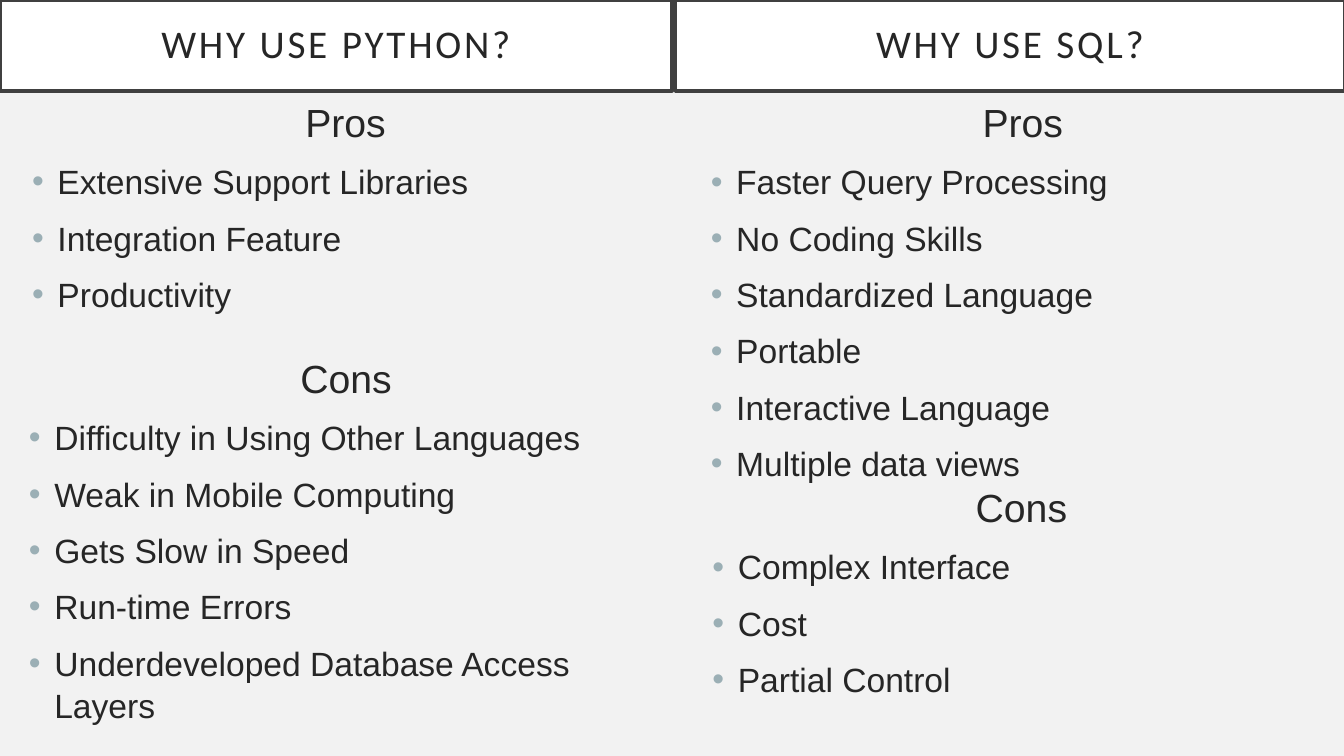
"""Build a slide comparing the pros and cons of Python and SQL."""
from lxml.etree import SubElement
from pptx import Presentation
from pptx.dml.color import RGBColor
from pptx.enum.shapes import MSO_SHAPE as Shape
from pptx.enum.text import MSO_ANCHOR as Anchor, MSO_AUTO_SIZE as AutoSize, PP_ALIGN as Align
from pptx.oxml.ns import qn
from pptx.util import Cm, Pt

HEADINGS = [
    ("WHY USE SQL?", (17.02, 0, 16.87, 2.29)),
    ("WHY USE PYTHON?", (0, 0, 16.94, 2.29)),
]
LISTS = [
    ("Pros", ["Faster Query Processing", "No Coding Skills", "Standardized Language",
              "Portable", "Interactive Language", "Multiple data views"],
     (17.02, 2.29, 16.87, 9.7), 0.64),
    ("Cons", ["Complex Interface", "Cost", "Partial Control"],
     (17.7, 11.99, 16.08, 7.06), 0),
    ("Pros", ["Extensive Support Libraries", "Integration Feature", "Productivity"],
     (-0.08, 2.29, 16.94, 6.83), 0.64),
    ("Cons", ["Difficulty in Using Other Languages", "Weak in Mobile Computing",
              "Gets Slow in Speed", "Run-time Errors",
              "Underdeveloped Database Access Layers"],
     (0.48, 8.74, 16.48, 10.34), 0),
]
HANGING = 0.64
TEXT, BULLET, BORDER = "262626", "9BAFB5", "404040"


def color(value):
    return RGBColor.from_string(value)


def place(shape, box):
    shape.left, shape.top, shape.width, shape.height = (Cm(length) for length in box)


def set_font(paragraph, name, size):
    font = paragraph.font
    font.name, font.size, font.bold = name, Pt(size), False
    font.color.rgb = color(TEXT)


def fill_heading(shape, text, box):
    place(shape, box)
    shape.fill.solid()
    shape.fill.fore_color.rgb = color("FFFFFF")
    shape.line.color.rgb = color(BORDER)
    shape.line.width = Pt(2.5)
    frame = shape.text_frame
    frame.word_wrap, frame.auto_size = True, AutoSize.NONE
    frame.vertical_anchor = Anchor.MIDDLE
    frame.margin_left = frame.margin_right = Cm(0.51)
    frame.margin_top = frame.margin_bottom = Cm(0.51)
    paragraph = frame.paragraphs[0]
    paragraph.alignment, paragraph.line_spacing = Align.CENTER, 0.9
    run = paragraph.add_run()
    run.text = text
    run._r.get_or_add_rPr().set("spc", "200")
    set_font(paragraph, "Calibri", 28)


def set_bullet(paragraph, indent, has_bullet):
    properties = paragraph._p.get_or_add_pPr()
    hanging = HANGING if has_bullet else 0
    properties.set("marL", str(Cm(indent + hanging)))
    properties.set("indent", str(-Cm(hanging)))
    if has_bullet:
        bullet_color = SubElement(properties, qn("a:buClr"))
        SubElement(bullet_color, qn("a:srgbClr"), val=BULLET)
        SubElement(properties, qn("a:buFont"), typeface="Arial")
        SubElement(properties, qn("a:buChar"), char="•")
    else:
        SubElement(properties, qn("a:buNone"))


def fill_list(shape, heading, items, box, indent):
    place(shape, box)
    frame = shape.text_frame
    frame.word_wrap, frame.auto_size = True, AutoSize.NONE
    frame.vertical_anchor = Anchor.TOP
    for index, text in enumerate([heading, *items]):
        paragraph = frame.add_paragraph() if index else frame.paragraphs[0]
        paragraph.text = text
        paragraph.alignment = Align.LEFT if index else Align.CENTER
        paragraph.line_spacing = 1.05
        paragraph.space_before = Pt(10 if index else 0)
        set_bullet(paragraph, indent, index > 0)
        set_font(paragraph, "Arial", 24 if index else 28)


def main():
    presentation = Presentation()
    presentation.slide_width, presentation.slide_height = Cm(33.87), Cm(19.05)
    slide = presentation.slides.add_slide(presentation.slide_layouts[3])
    slide.background.fill.solid()
    slide.background.fill.fore_color.rgb = color("F2F2F2")
    shapes = slide.shapes

    python_heading = shapes.add_shape(Shape.RECTANGLE, 0, 0, 0, 0)
    python_heading.shadow.inherit = False
    for shape, heading in zip([shapes.title, python_heading], HEADINGS):
        fill_heading(shape, *heading)

    bodies = [slide.placeholders[1], slide.placeholders[2]]
    bodies += [shapes.add_textbox(0, 0, 0, 0) for _ in range(2)]
    for shape, content in zip(bodies, LISTS):
        fill_list(shape, *content)
    presentation.save("out.pptx")


if __name__ == "__main__":
    main()
